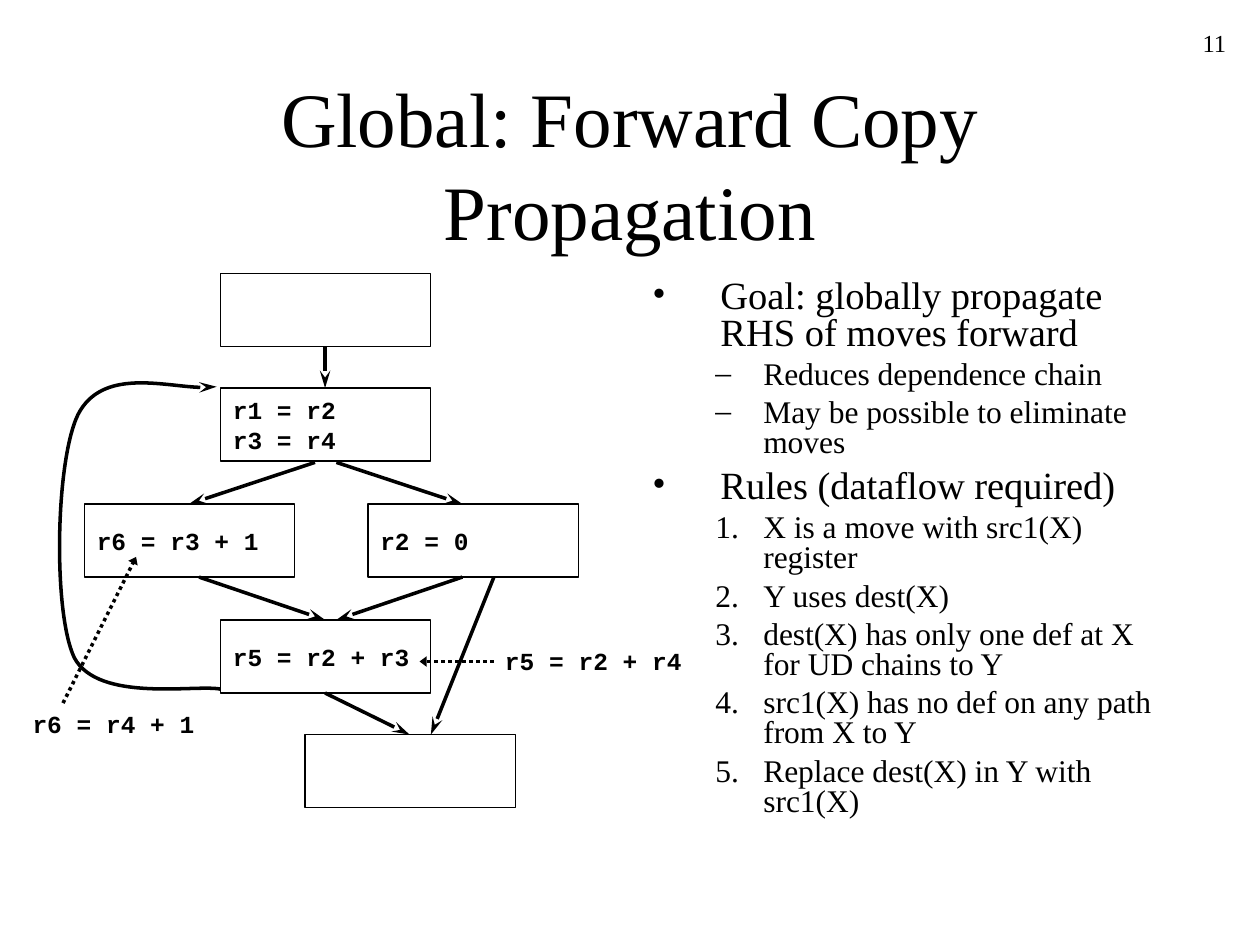
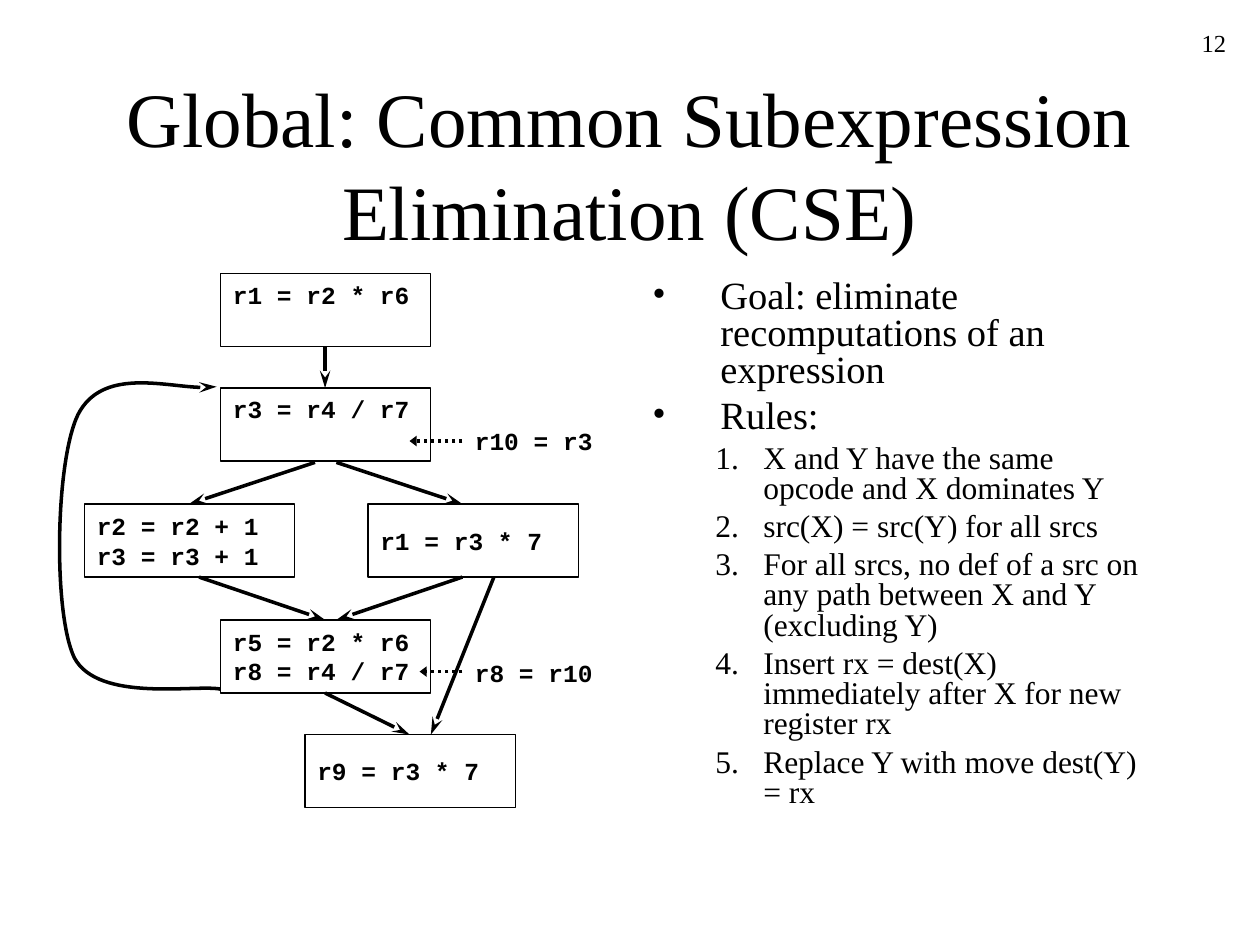
from lxml.etree import SubElement
from pptx import Presentation
from pptx.dml.color import RGBColor
from pptx.enum.dml import MSO_LINE
from pptx.enum.shapes import MSO_CONNECTOR, MSO_SHAPE
from pptx.enum.text import MSO_ANCHOR, PP_ALIGN
from pptx.oxml.ns import qn
from pptx.util import Inches, Pt

BLACK = RGBColor(0, 0, 0)
SERIF = "Times New Roman"
MONO = "Courier New"
WIDE, HIGH = 1.67, 0.58
MID, TOP = MSO_ANCHOR.MIDDLE, MSO_ANCHOR.TOP

SPOTS = [(1.75, 2.17), (1.75, 3.08), (0.67, 4), (2.92, 4), (1.75, 4.92), (2.42, 5.83)]
EDGES = [
    (2.58, 2.75, 2.58, 3.08),
    (2.5, 3.67, 1.5, 4),
    (2.67, 3.67, 3.67, 4),
    (1.58, 4.58, 2.58, 4.92),
    (3.67, 4.58, 2.67, 4.92),
    (2.58, 5.5, 3.25, 5.83),
    (3.92, 4.58, 3.42, 5.83),
]
LOOP = [
    (1.75, 5.47), (1.56, 5.43), (0.78, 5.58), (0.59, 5.22), (0.42, 4.86),
    (0.44, 3.66), (0.62, 3.29), (0.81, 2.92), (1.49, 3.11), (1.72, 3.07),
]

PAGES = [
    {
        "title": "Global: Forward Copy Propagation",
        "page": "11",
        "blocks": [("", MID), ("r1 = r2\nr3 = r4", MID), ("r6 = r3 + 1", MID),
                   ("r2 = 0", MID), ("r5 = r2 + r3", MID), ("", MID)],
        "notes": [("r6 = r4 + 1", 0.16, 5.58, 1.55), ("r5 = r2 + r4", 3.91, 5.08, 1.7)],
        "dots": [(0.5, 5.58, 1.08, 4.42), (3.92, 5.25, 3.33, 5.25)],
        "body": [
            ("•", "Goal: globally propagate RHS of moves forward"),
            ("–", "Reduces dependence chain"),
            ("–", "May be possible to eliminate moves"),
            ("•", "Rules (dataflow required)"),
            ("1.", "X is a move with src1(X) register"),
            ("1.", "Y uses dest(X)"),
            ("1.", "dest(X) has only one def at X for UD chains to Y"),
            ("1.", "src1(X) has no def on any path from X to Y"),
            ("1.", "Replace dest(X) in Y with src1(X)"),
        ],
    },
    {
        "title": "Global: Common Subexpression Elimination (CSE)",
        "page": "12",
        "blocks": [("r1 = r2 * r6", TOP), ("r3 = r4 / r7", TOP),
                   ("r2 = r2 + 1\nr3 = r3 + 1", MID), ("r1 = r3 * 7", MID),
                   ("r5 = r2 * r6\nr8 = r4 / r7", MID), ("r9 = r3 * 7", MID)],
        "notes": [("r8 = r10", 3.67, 5.17, 1.25), ("r10 = r3", 3.67, 3.33, 1.25)],
        "dots": [(3.67, 5.33, 3.33, 5.33), (3.67, 3.5, 3.25, 3.5)],
        "body": [
            ("•", "Goal: eliminate recomputations of an expression"),
            ("•", "Rules:"),
            ("1.", "X and Y have the same opcode and X dominates Y"),
            ("1.", "src(X) = src(Y) for all srcs"),
            ("1.", "For all srcs, no def of a src on any path between X and Y (excluding Y)"),
            ("1.", "Insert rx = dest(X) immediately after X for new register rx"),
            ("1.", "Replace Y with move dest(Y) = rx"),
        ],
    },
]


def write(shape, text, face, size, align=PP_ALIGN.LEFT, anchor=TOP):
    frame = shape.text_frame
    frame.word_wrap = True
    frame.vertical_anchor = anchor
    para = frame.paragraphs[0]
    para.text = text
    para.alignment = align
    para.font.name = face
    para.font.size = Pt(size)
    para.font.bold = face == MONO
    para.font.color.rgb = BLACK


def style(shape, head, length):
    shape.line.color.rgb = BLACK
    shape.line.width = Pt(2)
    if head == "triangle":
        shape.line.dash_style = MSO_LINE.ROUND_DOT
    line = shape.line._get_or_add_ln()
    SubElement(line, qn("a:tailEnd"), type=head, w="med", len=length)
    props = shape._element.spPr
    if props.find(qn("a:effectLst")) is None:
        SubElement(props, qn("a:effectLst"))


deck = Presentation()
deck.slide_width = Inches(10)
deck.slide_height = Inches(7.5)

for page in PAGES:
    slide = deck.slides.add_slide(deck.slide_layouts[6])
    shapes = slide.shapes

    title = shapes.add_textbox(Inches(0.75), Inches(0.67), Inches(8.5), Inches(1.25))
    write(title, page["title"], SERIF, 44, PP_ALIGN.CENTER, MID)

    pen = shapes.build_freeform(Inches(LOOP[0][0]), Inches(LOOP[0][1]))
    pen.add_line_segments([(Inches(x), Inches(y)) for x, y in LOOP[1:]], close=False)
    loop = pen.convert_to_shape()
    loop.shadow.inherit = False
    loop.fill.background()
    style(loop, "stealth", "lg")
    steps = list(loop._element.iter(qn("a:lnTo")))
    for first in range(0, len(steps), 3):
        curve = SubElement(steps[first].getparent(), qn("a:cubicBezTo"))
        for step in steps[first:first + 3]:
            curve.append(step[0])
            step.getparent().remove(step)

    for (x, y), (code, anchor) in zip(SPOTS, page["blocks"]):
        block = shapes.add_shape(MSO_SHAPE.RECTANGLE, Inches(x), Inches(y), Inches(WIDE), Inches(HIGH))
        block.shadow.inherit = False
        block.fill.background()
        block.line.color.rgb = BLACK
        block.line.width = Pt(0.75)
        if code:
            write(block, code, MONO, 14, anchor=anchor)

    for edges, head, length in [(EDGES, "stealth", "lg"), (page["dots"], "triangle", "sm")]:
        for edge in edges:
            ends = [Inches(v) for v in edge]
            style(shapes.add_connector(MSO_CONNECTOR.STRAIGHT, *ends), head, length)

    for code, x, y, width in page["notes"]:
        note = shapes.add_textbox(Inches(x), Inches(y), Inches(width), Inches(0.34))
        write(note, code, MONO, 14)

    body = shapes.add_textbox(Inches(5.08), Inches(2.17), Inches(4.16), Inches(4.5))
    frame = body.text_frame
    frame.word_wrap = True
    for i, (mark, text) in enumerate(page["body"]):
        para = frame.add_paragraph() if i else frame.paragraphs[0]
        para.text = text
        main = mark == "•"
        para.level = 0 if main else 1
        para.line_spacing = 0.8
        if i:
            para.space_before = Pt(5.5 if main else 4.5)
        props = para._p.get_or_add_pPr()
        props.set("marL", str(Inches(0.54 if main else 0.88)))
        props.set("indent", str(-Inches(0.54 if main else 0.38)))
        SubElement(props, qn("a:buFont"), typeface=SERIF)
        if mark == "1.":
            SubElement(props, qn("a:buAutoNum"), type="arabicPeriod")
        else:
            SubElement(props, qn("a:buChar"), char=mark)
        para.font.name = SERIF
        para.font.size = Pt(22 if main else 18)
        para.font.color.rgb = BLACK

    number = shapes.add_textbox(Inches(7.75), Inches(0.17), Inches(2.08), Inches(0.5))
    write(number, page["page"], SERIF, 14, PP_ALIGN.RIGHT)

deck.save("out.pptx")
